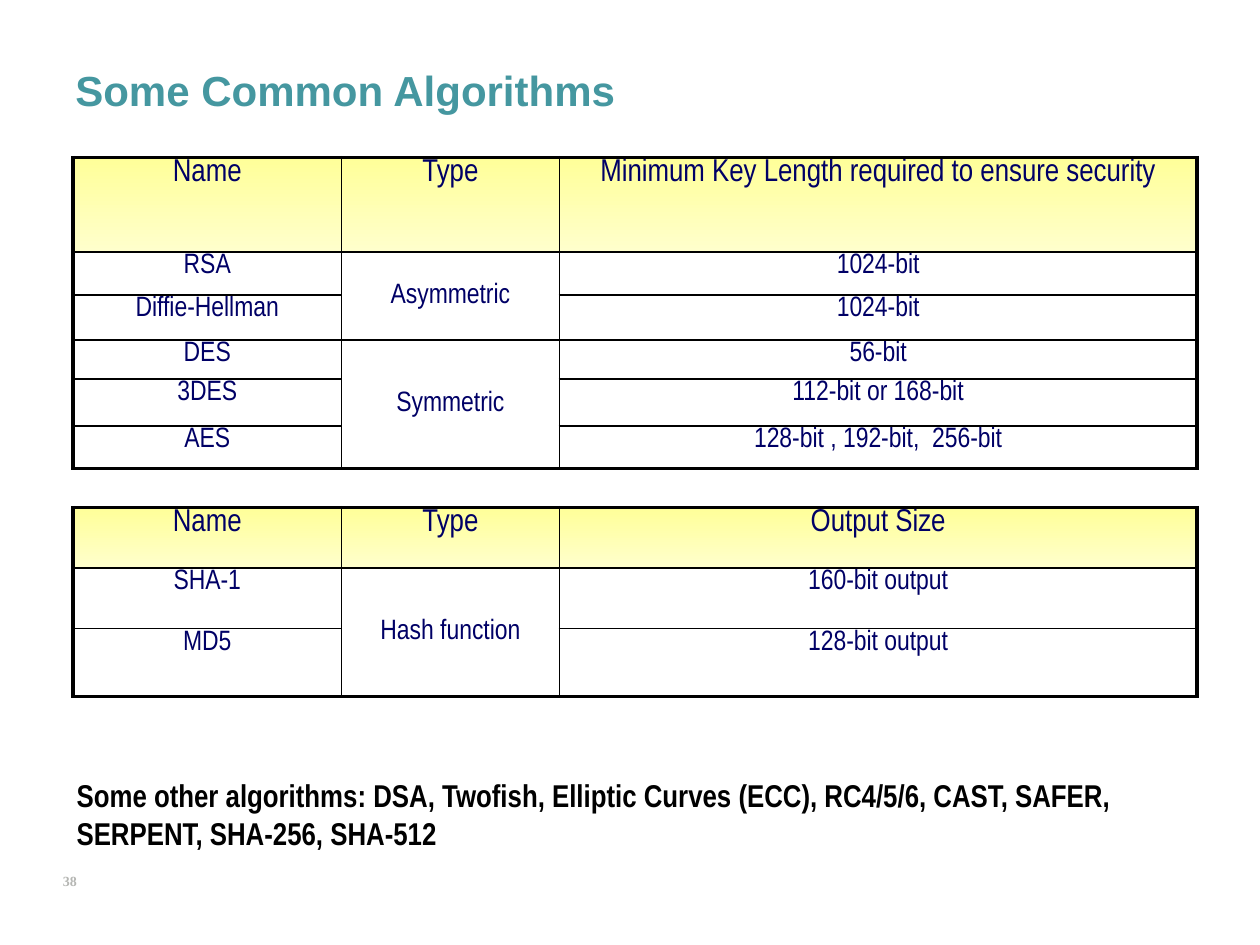
"""Build the slide of common algorithms on a grid of 100 columns by 75 rows."""
import dataclasses
import typing

import lxml.etree
import pptx
import pptx.dml.color
import pptx.enum.text
import pptx.oxml.ns
import pptx.util

Align = pptx.enum.text.PP_ALIGN
Anchor = pptx.enum.text.MSO_ANCHOR
COLS, ROWS = 100, 75
THICK, THIN = 2.25, 1
NARROW = "Arial Narrow"
NAVY, BLACK = "000066", "000000"
HEADS = ("FFFF99", "FFFFCC")


@dataclasses.dataclass(frozen=True)
class Style:
    """Font of a paragraph."""
    face: str
    size: float
    color: str
    bold: bool = False
    align: Align = Align.LEFT


@dataclasses.dataclass(frozen=True)
class Label:
    """Text box placed in grid units."""
    text: str
    left: float
    top: float
    width: float
    height: float
    style: Style
    anchor: Anchor = Anchor.TOP
    inset: bool = True


@dataclasses.dataclass(frozen=True)
class Row:
    """Table row; span counts the rows its type covers."""
    height: float
    texts: tuple[str, str, str]
    span: int = 1
    head: bool = False
    last: bool = False


HEAD = Style(NARROW, 18, NAVY, align=Align.CENTER)
BODY = Style(NARROW, 16, NAVY, align=Align.CENTER)
WIDTHS = (21.3, 17.3, 50.6)
LINES = (
    Row(7.5, ("Name", "Type", "Minimum Key Length required to ensure security"), head=True),
    Row(3.4, ("RSA", "Asymmetric", "1024-bit"), 2),
    Row(3.6, ("Diffie-Hellman", "", "1024-bit")),
    Row(3.1, ("DES", "Symmetric", "56-bit"), 3),
    Row(3.7, ("3DES", "", "112-bit or 168-bit")),
    Row(3.4, ("AES", "", "128-bit , 192-bit,  256-bit"), last=True),
    Row(3.1, ("", "", "")),
    Row(4.8, ("Name", "Type", "Output Size"), head=True),
    Row(4.8, ("SHA-1", "Hash function", "160-bit output"), 2),
    Row(5.4, ("MD5", "", "128-bit output"), last=True),
)
LABELS = (
    Label("Some Common Algorithms", 5, 4.2, 90, 5.8,
          Style("Arial", 24, "4597A0", True), Anchor.MIDDLE),
    Label("Some other algorithms: DSA, Twofish, Elliptic Curves (ECC), RC4/5/6, "
          "CAST, SAFER, SERPENT, SHA-256, SHA-512", 5.1, 61.1, 90.7, 7.1,
          Style(NARROW, 18, BLACK, True)),
    Label("38", 3.6, 69.2, 2.5, 4.1,
          Style("Times New Roman", 8, "B5B6B3", True, Align.RIGHT), inset=False),
)

deck = pptx.Presentation()
deck.slide_width = pptx.util.Inches(10)
deck.slide_height = pptx.util.Inches(7.5)


def across(cols: float) -> int:
    """Turn grid columns into a length."""
    return round(deck.slide_width * cols / COLS)


def down(rows: float) -> int:
    """Turn grid rows into a length."""
    return round(deck.slide_height * rows / ROWS)


def paint(color: str) -> pptx.dml.color.RGBColor:
    """Turn a hex string into a colour."""
    return pptx.dml.color.RGBColor.from_string(color)


def write(frame: typing.Any, text: str, style: Style) -> None:
    """Put one styled paragraph into a text frame."""
    para = frame.paragraphs[0]
    if text:
        para.add_run().text = text
    para.alignment = style.align
    font = para.font
    font.name, font.size, font.bold = style.face, pptx.util.Pt(style.size), style.bold
    font.color.rgb = paint(style.color)


def label(slide: typing.Any, item: Label) -> None:
    """Draw a text box."""
    box = slide.shapes.add_textbox(across(item.left), down(item.top),
                                   across(item.width), down(item.height))
    frame = box.text_frame
    frame.word_wrap = True
    frame.vertical_anchor = item.anchor
    write(frame, item.text, item.style)
    if not item.inset:
        frame.margin_left = frame.margin_right = 0
        frame.margin_top = frame.margin_bottom = 0
        frame.paragraphs[0].line_spacing = pptx.util.Pt(10)
        frame.paragraphs[0].space_before = pptx.util.Pt(1.6)


def border(cell: typing.Any, widths: tuple[float, float, float, float]) -> None:
    """Set left, right, top and bottom borders, zero meaning none."""
    props = cell._tc.get_or_add_tcPr()
    tag = pptx.oxml.ns.qn
    for spot, (side, width) in enumerate(zip("LRTB", widths)):
        line = lxml.etree.Element(tag(f"a:ln{side}"), w=str(int(pptx.util.Pt(width))))
        props.insert(spot, line)
        if width:
            fill = lxml.etree.SubElement(line, tag("a:solidFill"))
            lxml.etree.SubElement(fill, tag("a:srgbClr"), val=BLACK)
        else:
            lxml.etree.SubElement(line, tag("a:noFill"))


def shade(cell: typing.Any, head: bool) -> None:
    """Fill header cells with a gradient and leave others clear."""
    if not head:
        cell.fill.background()
        return
    cell.fill.gradient()
    cell.fill.gradient_angle = 270
    for stop, color in zip(cell.fill.gradient_stops, HEADS):
        stop.color.rgb = paint(color)


def grid(slide: typing.Any, left: float, top: float) -> None:
    """Draw the table with its merged types and blank divider."""
    frame = slide.shapes.add_table(len(LINES), len(WIDTHS), across(left), down(top),
                                   across(sum(WIDTHS)), down(sum(r.height for r in LINES)))
    table = frame.table
    table.first_row = table.horz_banding = False
    for col, width in zip(table.columns, WIDTHS):
        col.width = across(width)
    for y, row in enumerate(LINES):
        table.rows[y].height = down(row.height)
        gap = not any(row.texts)
        if gap:
            table.cell(y, 0).merge(table.cell(y, 2))
        elif row.span > 1:
            table.cell(y, 1).merge(table.cell(y + row.span - 1, 1))
        for x, text in enumerate(row.texts):
            cell = table.cell(y, x)
            shade(cell, row.head)
            if cell.is_spanned:
                continue
            cell.margin_top = cell.margin_bottom = down(0.1)
            merged = x == 1 and row.span > 1
            cell.vertical_anchor = Anchor.MIDDLE if merged else Anchor.TOP
            write(cell.text_frame, text, HEAD if row.head else BODY)
            foot = LINES[y + row.span - 1] if merged else row
            border(cell, (0, 0, THICK, THICK) if gap else (
                THICK if x == 0 else THIN, THICK if x == 2 else THIN,
                THICK if row.head else THIN, THICK if foot.last else THIN))


def main() -> None:
    """Build and save the deck."""
    slide = deck.slides.add_slide(deck.slide_layouts[6])
    grid(slide, 5.8, 12.5)
    for item in LABELS:
        label(slide, item)
    deck.save("out.pptx")


if __name__ == "__main__":
    main()
